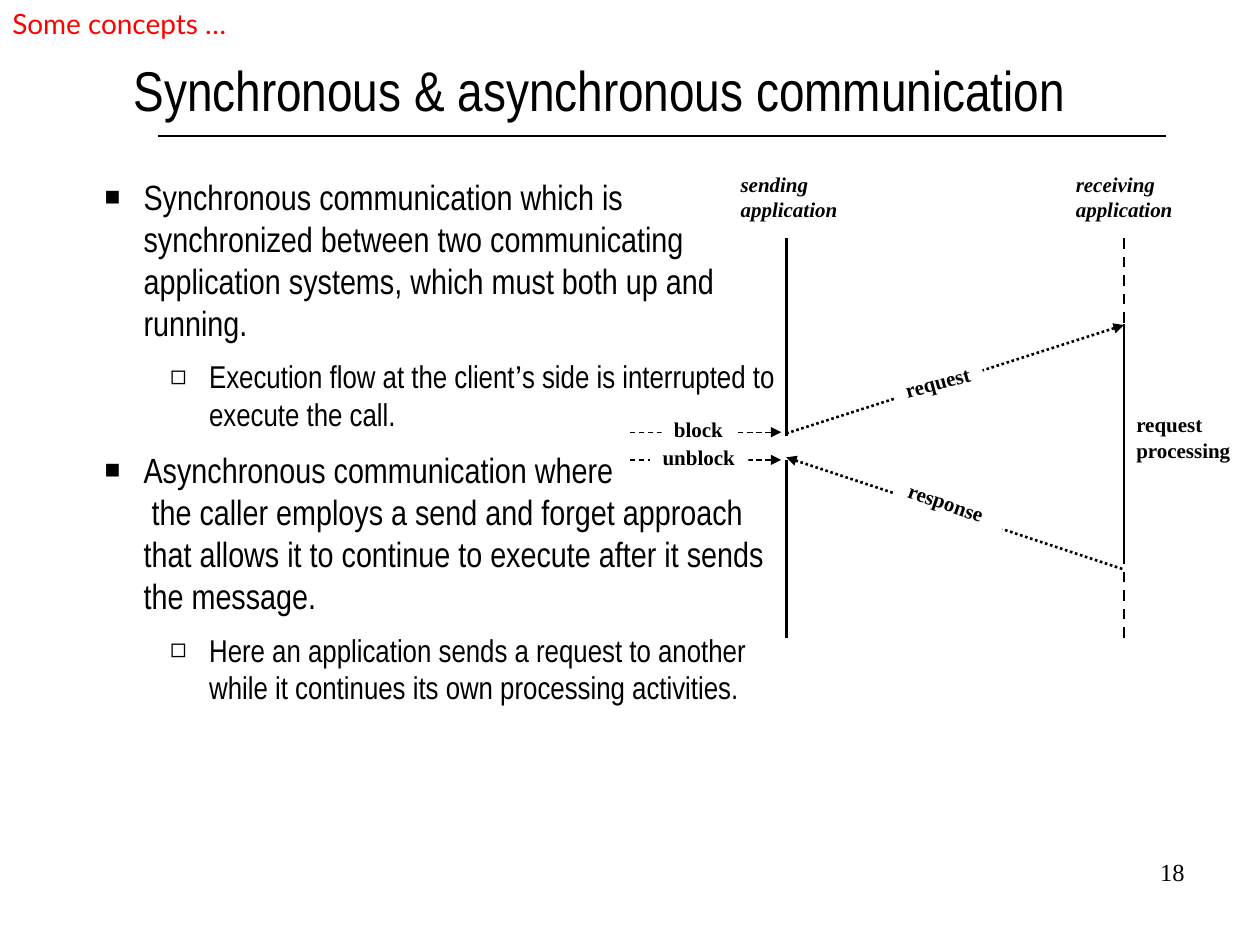
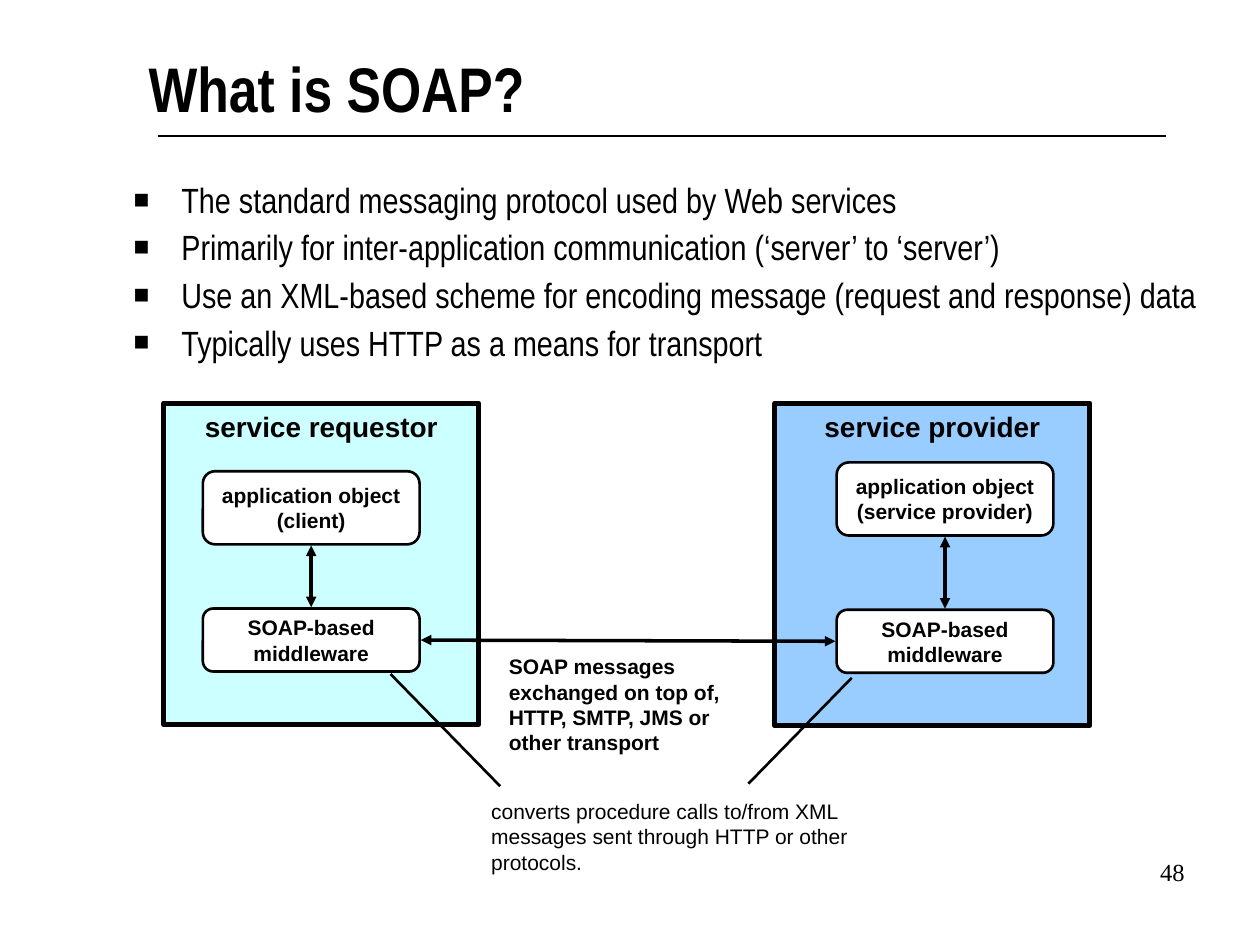
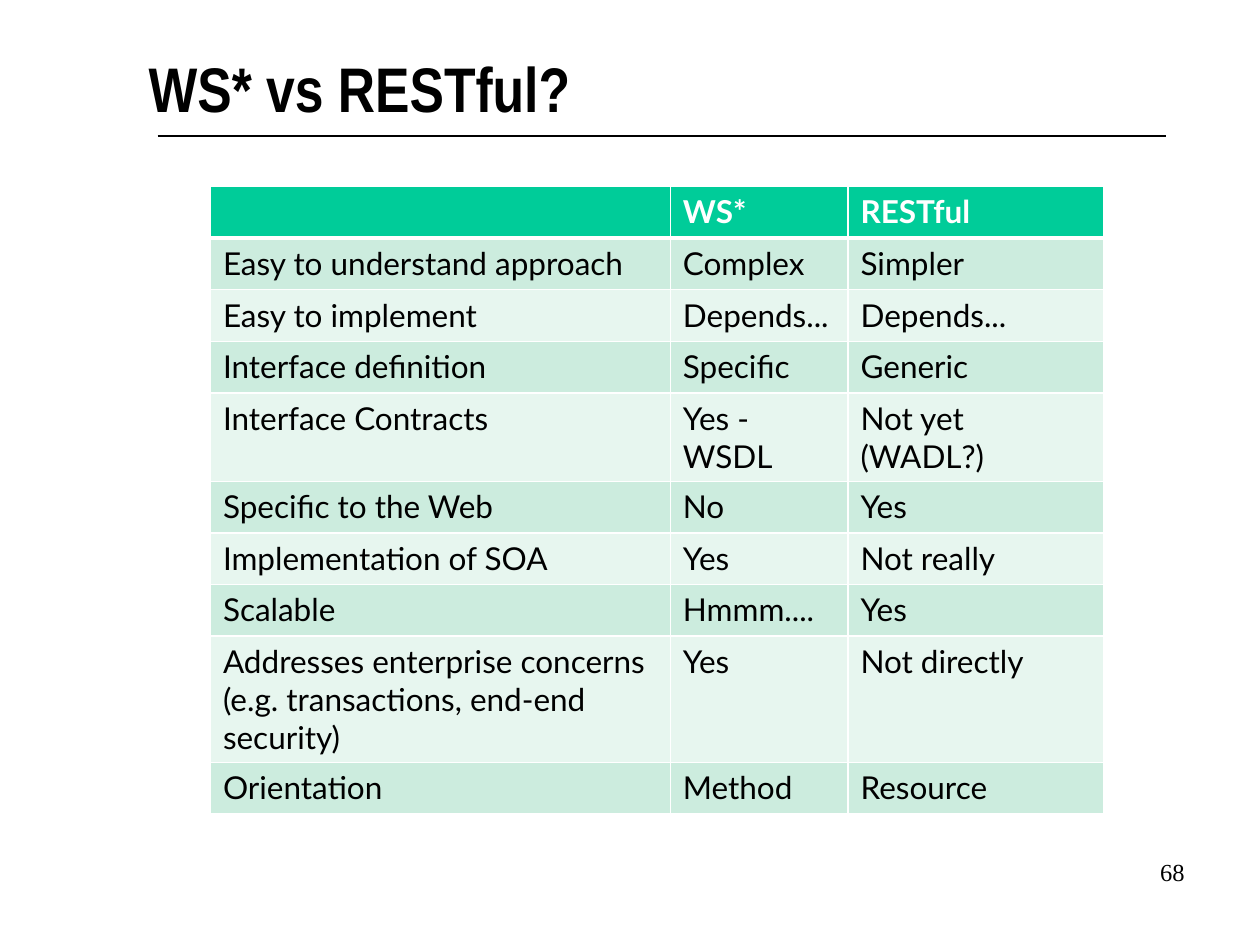
from collections import namedtuple

from lxml.etree import SubElement
from pptx import Presentation
from pptx.dml.color import RGBColor
from pptx.enum.dml import MSO_LINE
from pptx.enum.shapes import MSO_CONNECTOR, MSO_SHAPE
from pptx.enum.text import MSO_ANCHOR, MSO_AUTO_SIZE, PP_ALIGN
from pptx.oxml.ns import qn
from pptx.util import Inches, Pt

BLACK, WHITE, RED = "000000", "FFFFFF", "FF0000"
REQUESTOR_FILL, PROVIDER_FILL = "CCFFFF", "99CCFF"
HEADER_FILL, BAND_FILLS = "00CC99", ("CCECDE", "E7F6EF")
NARROW, SANS, SERIF, TABLE_FONT = "Arial Narrow", "Arial", "Times New Roman", "Lato"

Box = namedtuple("Box", "left top width height")
TextStyle = namedtuple("TextStyle", "font size color bold italic", defaults=(BLACK, False, False))
Level = namedtuple("Level", "bullet bullet_size indent hanging size before")

LABEL = TextStyle(SERIF, 12, bold=True)
SOAP_LABEL = TextStyle(SANS, 12, bold=True)


# Shared helpers
def rgb(color):
    return RGBColor.from_string(color)


def inside(box, left, top, width=0, height=0):
    return Box(box.left + left, box.top + top, width, height)


def place(item, box):
    item.left, item.top, item.width, item.height = map(Inches, box)


def add_run(para, text, style):
    span = para.add_run()
    span.text = text
    font = span.font
    font.name, font.size = style.font, Pt(style.size)
    font.bold, font.italic = style.bold, style.italic
    font.color.rgb = rgb(style.color)


def write(frame, lines, style, align=PP_ALIGN.LEFT, anchor=MSO_ANCHOR.TOP, wrap=True):
    frame.word_wrap = wrap
    frame.vertical_anchor = anchor
    for index, line in enumerate(lines):
        para = frame.add_paragraph() if index else frame.paragraphs[0]
        para.alignment = align
        add_run(para, line, style)


def add_text(page, box, lines, style, **layout):
    write(page.shapes.add_textbox(*map(Inches, box)).text_frame, lines, style, **layout)


def add_panel(page, box, lines, style, fill, outline=0, kind=MSO_SHAPE.RECTANGLE,
              rotation=0, **layout):
    panel = page.shapes.add_shape(kind, *map(Inches, box))
    panel.shadow.inherit = False
    panel.rotation = rotation
    panel.fill.solid()
    panel.fill.fore_color.rgb = rgb(fill)
    if outline:
        panel.line.color.rgb = rgb(BLACK)
        panel.line.width = Pt(outline)
    else:
        panel.line.fill.background()
    write(panel.text_frame, lines, style, **layout)


def add_line(page, box, start, end, width=1.5, dash=None, arrows=()):
    """Draw from start to end, both measured from the corner of the box."""
    points = [Inches(corner + offset) for point in (start, end)
              for corner, offset in zip(box[:2], point)]
    line = page.shapes.add_connector(MSO_CONNECTOR.STRAIGHT, *points)
    line.line.color.rgb = rgb(BLACK)
    line.line.width = Pt(width)
    if dash:
        line.line.dash_style = dash
    outline = line.line._get_or_add_ln()
    for arrow in arrows:
        SubElement(outline, qn(f"a:{arrow}"), type="triangle")
    SubElement(line._element.spPr, qn("a:effectLst"))


def clear_insets(frame):
    frame.auto_size = MSO_AUTO_SIZE.NONE
    frame.margin_left = frame.margin_right = frame.margin_top = frame.margin_bottom = 0


# Title, rule and page number on every slide
def start_page(deck, layout, title, number, box=Box(1.18, 0.39, 7.65, 0.75), size=36, bold=True):
    page = deck.slides.add_slide(deck.slide_layouts.get_by_name(layout))
    place(page.shapes.title, box)
    frame = page.shapes.title.text_frame
    clear_insets(frame)
    write(frame, [title], TextStyle(NARROW, size, bold=bold))
    add_line(page, Box(1.25, 1.08, 8, 0), (0, 0), (8, 0), width=0.75)
    add_text(page, Box(7.42, 6.75, 2.08, 0.5), [number], TextStyle(SERIF, 14),
             align=PP_ALIGN.RIGHT)
    return page


# Bulleted list in the body placeholder
def fill_list(page, box, levels, items, line_spacing=1.0):
    """Each item is a depth and its runs; a run is a text and a font."""
    body = page.placeholders[1]
    place(body, box)
    frame = body.text_frame
    clear_insets(frame)
    for index, (depth, runs) in enumerate(items):
        level = levels[depth]
        para = frame.add_paragraph() if index else frame.paragraphs[0]
        para.level = depth
        para.line_spacing = line_spacing
        para.space_before = Pt(level.before if index else 0)
        properties = para._p.get_or_add_pPr()
        properties.set("marL", str(Inches(level.indent)))
        properties.set("indent", str(-Inches(level.hanging)))
        SubElement(properties, qn("a:buSzPct"), val=str(level.bullet_size * 1000))
        SubElement(properties, qn("a:buFont"), typeface=SANS)
        SubElement(properties, qn("a:buChar"), char=level.bullet)
        for text, font in runs:
            if text == "\n":
                para.add_line_break()
            else:
                add_run(para, text, TextStyle(font, level.size))


# Slide 18: message sequence between two applications
def draw_sequence(page, box):
    sender, receiver = 1.24, 3.92
    call, reply = 2.13, 2.35

    def marker(top, text, left, width):
        add_line(page, box, (0, top), (1.2, top), 0.75, MSO_LINE.DASH, ["tailEnd"])
        add_panel(page, inside(box, left, top - 0.17, width, 0.3), [text], LABEL, WHITE, wrap=False)

    marker(call, "block", 0.25, 0.59)

    # Messages and lifelines
    add_line(page, box, (sender, 2.33), (receiver, 3.22), dash=MSO_LINE.ROUND_DOT,
             arrows=["headEnd"])
    add_line(page, box, (sender, 2.14), (receiver, 1.28), dash=MSO_LINE.ROUND_DOT,
             arrows=["tailEnd"])
    for lifeline, top, bottom, dash in (
        (sender, 2.35, 3.76, None),
        (sender, 2.16, 0.59, None),
        (receiver, 1.27, 3.14, None),
        (receiver, 1.26, 0.59, MSO_LINE.DASH),
        (receiver, 3.76, 3.11, MSO_LINE.DASH),
    ):
        add_line(page, box, (lifeline, top), (lifeline, bottom), dash=dash)

    # Labels
    for left, role in ((0.78, "sending"), (3.44, "receiving")):
        add_text(page, inside(box, left, 0.01, 0.97, 0.5), [role, "application"],
                 LABEL._replace(italic=True), wrap=False)
    add_panel(page, inside(box, 2.08, 1.58, 0.73, 0.3), ["request"], LABEL, WHITE,
              rotation=344.9, wrap=False)
    add_panel(page, inside(box, 2.1, 2.55, 0.9, 0.3), ["response"], LABEL, WHITE, rotation=19.3)
    marker(reply, "unblock", 0.16, 0.78)
    add_text(page, inside(box, receiver, 1.92, 0.95, 0.5), ["request", "processing"],
             LABEL, wrap=False)


def build_communication(deck):
    page = start_page(deck, "Title and Content", "Synchronous & asynchronous communication", "18",
                      Box(1.06, 0.44, 7.56, 0.56), 32, False)
    levels = (Level("■", 75, 0.31, 0.31, 20, 9), Level("◻", 85, 0.83, 0.31, 18, 8))
    fill_list(page, Box(0.83, 1.39, 5.42, 5.67), levels, [
        (0, [("Synchronous communication which is synchronized between two communicating "
              "application systems, which must both up and running.", NARROW)]),
        (1, [("Execution flow at the client", NARROW), ("’", SANS),
             ("s side is interrupted to execute the call.", NARROW)]),
        (0, [("Asynchronous communication where", NARROW), ("\n", NARROW),
             (" the caller employs a send and forget approach that allows it to continue "
              "to execute after it sends the message.", NARROW)]),
        (1, [("Here an application sends a request to another while it continues its own "
              "processing activities.", NARROW)]),
    ])
    draw_sequence(page, Box(5, 1.3, 4.87, 3.76))
    add_text(page, Box(0, 0, 4.37, 0.37), ["Some concepts …"], TextStyle(TABLE_FONT, 16, RED))


# Slide 48: requestor and provider joined by SOAP
def draw_party(page, box, name, fill, role, left, object_top, middleware_top):
    add_panel(page, box, [name], TextStyle(SANS, 16, bold=True), fill, 3,
              align=PP_ALIGN.CENTER, wrap=False)
    width, object_height, gap = 1.72, 0.58, 0.01
    for top, height, lines in (
        (object_top, object_height, ["application object", role]),
        (middleware_top, 0.5, ["SOAP-based middleware"]),
    ):
        add_panel(page, inside(box, left, top, width, height), lines, SOAP_LABEL, WHITE, 1.5,
                  MSO_SHAPE.ROUNDED_RECTANGLE, align=PP_ALIGN.CENTER, anchor=MSO_ANCHOR.MIDDLE)
    center = left + width / 2
    add_line(page, box, (center, object_top + object_height + gap),
             (center, middleware_top - gap), 2, arrows=["headEnd", "tailEnd"])


def draw_exchange(page, box):
    draw_party(page, inside(box, 4.85, 0, 2.5, 2.56), "service provider", PROVIDER_FILL,
               "(service provider)", 0.49, 0.47, 1.64)
    draw_party(page, inside(box, 0, 0, 2.5, 2.55), "service requestor", REQUESTOR_FILL,
               "(client)", 0.31, 0.54, 1.63)
    add_line(page, box, (2.04, 1.88), (5.33, 1.89), 2, arrows=["headEnd", "tailEnd"])
    add_text(page, inside(box, 2.64, 1.94, 2.24, 0.91),
             ["SOAP messages exchanged on top of, HTTP, SMTP, JMS or other transport"], SOAP_LABEL)
    add_line(page, box, (2.67, 3.04), (1.8, 2.15))
    add_line(page, box, (4.64, 3.02), (5.46, 2.18))
    add_text(page, inside(box, 2.5, 3.09, 3.19, 1),
             ["converts procedure calls to/from XML messages sent through HTTP or other protocols."],
             TextStyle(SANS, 12))


def build_soap(deck):
    page = start_page(deck, "Title and Content", "What is SOAP?", "48")
    points = (
        "The standard messaging protocol used by Web services",
        "Primarily for inter-application communication (‘server’ to ‘server’)",
        "Use an XML-based scheme for encoding message (request and response) data",
        "Typically uses HTTP as a means for transport",
    )
    fill_list(page, Box(1.06, 1.48, 8.77, 1.5), [Level("■", 75, 0.38, 0.38, 20, 8)],
              [(0, [(point, NARROW)]) for point in points], line_spacing=0.8)
    draw_exchange(page, Box(1.3, 3.2, 7.35, 4.09))


# Slide 68: comparison table
def format_cell(cell, text, style, fill, bottom_width):
    properties = cell._tc.get_or_add_tcPr()
    for side, width in (("L", 1), ("R", 1), ("T", 1), ("B", bottom_width)):
        border = SubElement(properties, qn(f"a:ln{side}"), w=str(Pt(width)))
        paint = SubElement(border, qn("a:solidFill"))
        SubElement(paint, qn("a:srgbClr"), val=WHITE)
    cell.fill.solid()
    cell.fill.fore_color.rgb = rgb(fill)
    if text:
        add_run(cell.text_frame.paragraphs[0], text, style)


def draw_comparison(page, box, rows, widths, tall_rows):
    table = page.shapes.add_table(len(rows), len(widths), *map(Inches, box)).table
    for column, width in zip(table.columns, widths):
        column.width = Inches(width)
    for index, texts in enumerate(rows):
        table.rows[index].height = Inches(tall_rows.get(index, 0.41))
        header = index == 0
        style = TextStyle(TABLE_FONT, 18, WHITE if header else BLACK, header)
        fill = HEADER_FILL if header else BAND_FILLS[(index - 1) % 2]
        for cell, text in zip(table.rows[index].cells, texts):
            format_cell(cell, text, style, fill, 3 if header else 1)


def build_comparison(deck):
    page = start_page(deck, "Title Only", "WS* vs RESTful?", "68")
    rows = (
        ("", "WS*", "RESTful"),
        ("Easy to understand approach", "Complex", "Simpler"),
        ("Easy to implement", "Depends...", "Depends..."),
        ("Interface definition", "Specific", "Generic"),
        ("Interface Contracts", "Yes - WSDL", "Not yet (WADL?)"),
        ("Specific to the Web", "No", "Yes"),
        ("Implementation of SOA", "Yes", "Not really"),
        ("Scalable", "Hmmm....", "Yes"),
        ("Addresses enterprise concerns (e.g. transactions, end-end security)",
         "Yes", "Not directly"),
        ("Orientation", "Method", "Resource"),
    )
    draw_comparison(page, Box(1.67, 1.48, 7.08, 4.47), rows, (3.65, 1.41, 2.03),
                    {4: 0.49, 8: 0.71})


def main():
    deck = Presentation()
    deck.slide_width, deck.slide_height = Inches(10), Inches(7.5)
    build_communication(deck)
    build_soap(deck)
    build_comparison(deck)
    deck.save("out.pptx")


if __name__ == "__main__":
    main()
